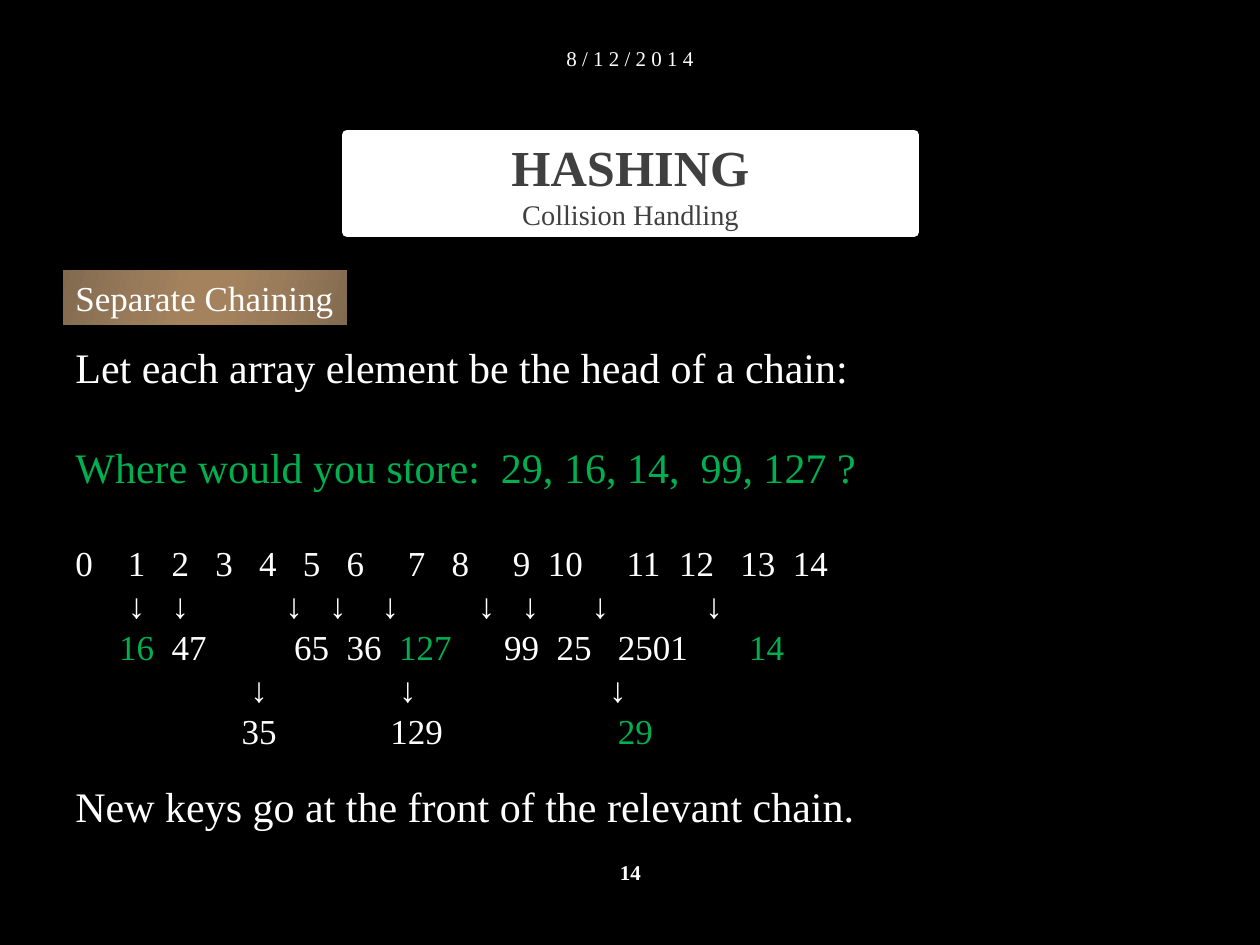
import lxml.etree
import pptx
import pptx.dml.color
import pptx.enum.shapes
import pptx.enum.text
import pptx.oxml
import pptx.oxml.ns
import pptx.util

RGB = pptx.dml.color.RGBColor
BLACK = RGB(0x00, 0x00, 0x00)
WHITE = RGB(0xFF, 0xFF, 0xFF)
GREY = RGB(0x40, 0x40, 0x40)
GREEN = RGB(0x00, 0xB0, 0x50)
TAN_EDGE = RGB(0x82, 0x6A, 0x50)
TAN_MID = RGB(0x9A, 0x7C, 0x5B)
TAN_LIGHT = RGB(0xA4, 0x82, 0x5D)
TAN_STOPS = [(0, TAN_EDGE), (30, TAN_MID), (45, TAN_LIGHT),
             (55, TAN_LIGHT), (73, TAN_MID), (100, TAN_EDGE)]

FONT = "Times New Roman"
PIXELS_PER_INCH = 126
CELL = 5  # points: one table column step, half a digit wide at 20 pt
CENTER = pptx.enum.text.PP_ALIGN.CENTER
MIDDLE = pptx.enum.text.MSO_ANCHOR.MIDDLE

INDEX_COLUMNS = [0, 6, 11, 16, 21, 26, 31, 38, 43, 50, 54, 63, 69, 76, 82]
FIRST_ARROWS = [6, 11, 24, 29, 35, 46, 51, 59, 72]
SECOND_ARROWS = [20, 37, 61]
FIRST_KEYS = [(5, "16"), (11, "47"), (25, "65"), (31, "36"), (37, "127"),
              (49, "99"), (55, "25"), (62, "2501"), (77, "14")]
SECOND_KEYS = [(19, "35"), (36, "129"), (62, "29")]
NEW_KEYS = {"16", "127", "14", "29"}


def px(length):
    return pptx.util.Emu(round(length * 914400 / PIXELS_PER_INCH))


def set_font(font, size, color, bold=False):
    font.name = FONT
    font.size = pptx.util.Pt(size)
    font.color.rgb = color
    font.bold = bold


def add_text_box(slide, box):
    shape = slide.shapes.add_textbox(*map(px, box))
    shape.text_frame.word_wrap = True
    return shape.text_frame


def add_title(slide, box):
    title = slide.shapes.title
    title.left, title.top, title.width, title.height = map(px, box)
    title.fill.solid()
    title.fill.fore_color.rgb = WHITE
    title.line.color.rgb = WHITE
    title.line.width = pptx.util.Pt(6)
    frame = title.text_frame
    frame.auto_size = pptx.enum.text.MSO_AUTO_SIZE.NONE
    frame.vertical_anchor = MIDDLE
    paragraph = frame.paragraphs[0]
    paragraph.alignment = CENTER
    paragraph.space_before = pptx.util.Pt(4)
    heading = paragraph.add_run()
    heading.text = "HASHING"
    set_font(heading.font, 28.8, GREY, bold=True)
    paragraph.add_line_break()
    subtitle = paragraph.add_run()
    subtitle.text = "Collision Handling"
    set_font(subtitle.font, 16.2, GREY)


def add_centred_line(slide, box, text, bold=False):
    frame = add_text_box(slide, box)
    frame.vertical_anchor = MIDDLE
    frame.margin_top = frame.margin_bottom = 0
    paragraph = frame.paragraphs[0]
    paragraph.alignment = CENTER
    run = paragraph.add_run()
    run.text = text
    set_font(paragraph.font, 12, WHITE, bold)
    return run


def add_section_label(slide, box):
    label = slide.shapes.add_shape(
        pptx.enum.shapes.MSO_SHAPE.RECTANGLE, *map(px, box))
    label.shadow.inherit = False
    label.line.fill.background()
    label.fill.gradient()
    label.fill.gradient_angle = 344
    stops = label._element.spPr.find(".//" + pptx.oxml.ns.qn("a:gsLst"))
    for stop in list(stops):
        stops.remove(stop)
    for percent, color in TAN_STOPS:
        stop = lxml.etree.SubElement(stops, pptx.oxml.ns.qn("a:gs"), pos=str(percent * 1000))
        lxml.etree.SubElement(stop, pptx.oxml.ns.qn("a:srgbClr"), val=str(color))
    frame = label.text_frame
    frame.word_wrap = False
    frame.vertical_anchor = pptx.enum.text.MSO_ANCHOR.TOP
    paragraph = frame.paragraphs[0]
    paragraph.alignment = pptx.enum.text.PP_ALIGN.LEFT
    paragraph.text = "Separate Chaining"
    set_font(paragraph.font, 20, WHITE)


def format_line(paragraph, size, leading, color=WHITE, before=0):
    paragraph.line_spacing = pptx.util.Pt(leading)
    paragraph.space_before = pptx.util.Pt(before)
    set_font(paragraph.font, size, color)


def fill_row(paragraph, entries, before=0):
    """Set each (column, text) entry at its own tab stop."""
    tabs = lxml.etree.SubElement(
        paragraph._p.get_or_add_pPr(), pptx.oxml.ns.qn("a:tabLst"))
    for column, text in entries:
        if column:
            lxml.etree.SubElement(
                tabs, pptx.oxml.ns.qn("a:tab"),
                pos=str(pptx.util.Pt(column * CELL)), algn="l")
        run = paragraph.add_run()
        run.text = "\t" + text if column else text
        if text in NEW_KEYS and len(entries) < len(INDEX_COLUMNS):
            run.font.color.rgb = GREEN
    format_line(paragraph, 20, 24, before=before)


def add_chaining_text(slide, box):
    frame = add_text_box(slide, box)
    paragraph = frame.paragraphs[0]
    paragraph.text = "Let each array element be the head of a chain:"
    format_line(paragraph, 24, 28.5)

    paragraph = frame.add_paragraph()
    paragraph.text = "Where would you store:  29, 16, 14,  99, 127 ?"
    format_line(paragraph, 24, 28.5, GREEN, before=28.5)

    rows = [
        [(column, str(index)) for index, column in enumerate(INDEX_COLUMNS)],
        [(column, "↓") for column in FIRST_ARROWS],
        FIRST_KEYS,
        [(column, "↓") for column in SECOND_ARROWS],
        SECOND_KEYS,
    ]
    for number, entries in enumerate(rows):
        fill_row(frame.add_paragraph(), entries, before=0 if number else 28.5)

    paragraph = frame.add_paragraph()
    paragraph.text = "New keys go at the front of the relevant chain."
    format_line(paragraph, 24, 28.5, before=17)


def main():
    presentation = pptx.Presentation()
    presentation.slide_width = px(1260)
    presentation.slide_height = px(945)
    slide = presentation.slides.add_slide(presentation.slide_layouts[5])
    slide.background.fill.solid()
    slide.background.fill.fore_color.rgb = BLACK

    add_title(slide, (347, 135, 567, 97))
    date = add_centred_line(slide, (411, 38, 438, 40), "8/12/2014")
    date.font._element.set("spc", "300")
    add_centred_line(slide, (557, 851, 147, 42), "14", bold=True)
    add_section_label(slide, (63, 270, 284, 55))
    add_chaining_text(slide, (63, 336, 1166, 522))
    presentation.save("out.pptx")


if __name__ == "__main__":
    main()
